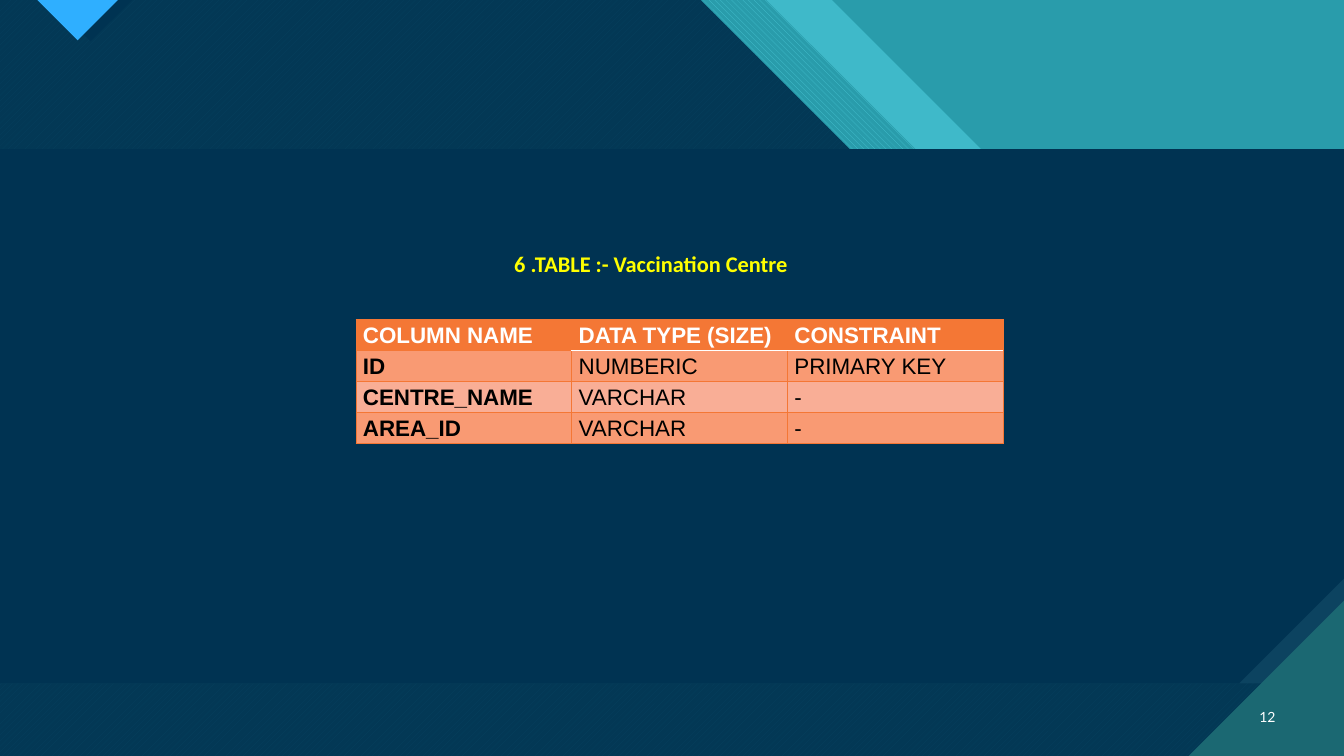
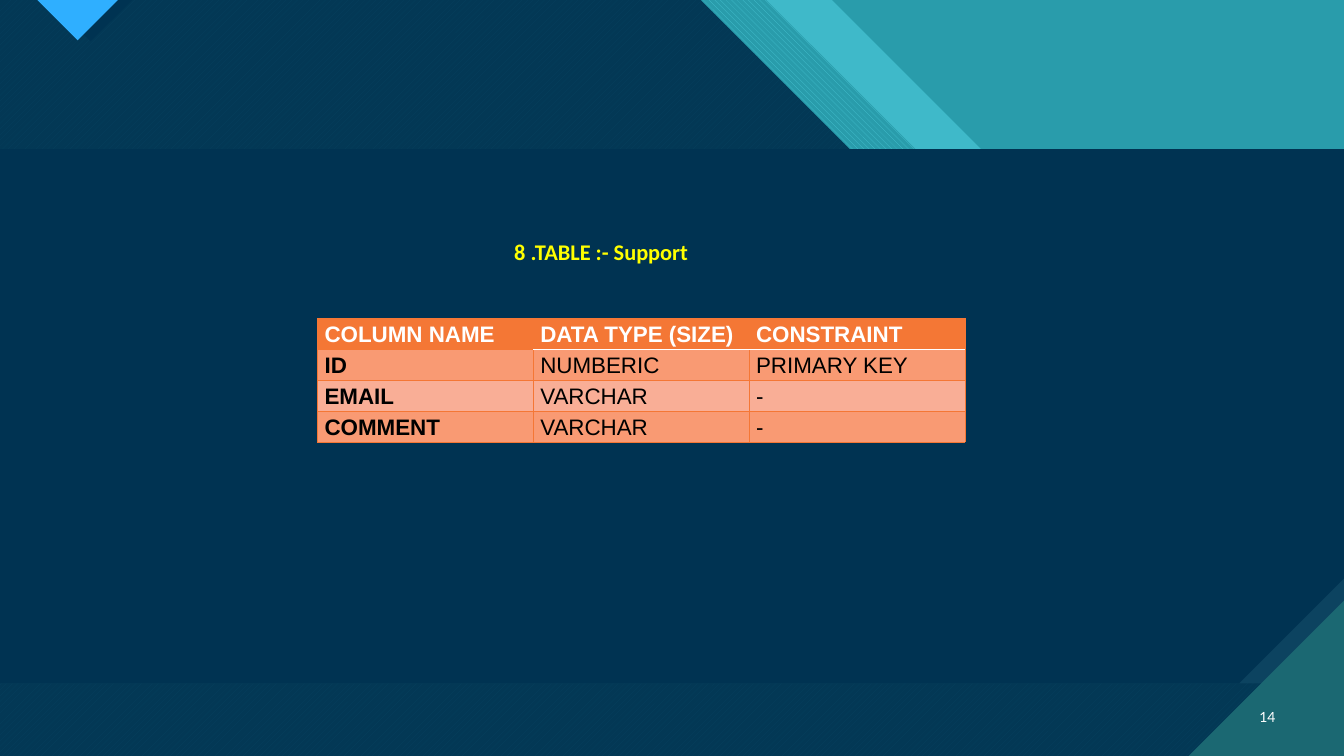
from lxml.etree import SubElement
from pptx import Presentation
from pptx.dml.color import RGBColor
from pptx.enum.dml import MSO_PATTERN
from pptx.enum.shapes import MSO_SHAPE
from pptx.enum.text import MSO_ANCHOR, MSO_AUTO_SIZE, PP_ALIGN
from pptx.oxml.ns import qn
from pptx.util import Inches, Pt

WIDTH, HEIGHT = 13.33, 7.5
PANEL_TOP, PANEL_HEIGHT, PANEL_SNIP = 1.48, 5.3, 1.04
COLUMN_WIDTH, ROW_HEIGHT = 2.14, 0.29

COLORS = {
    "teal": "299CAB",
    "light_teal": "3FB9C9",
    "bright_teal": "47C3D3",
    "deep_teal": "1B6872",
    "navy": "003352",
    "navy_weave": "033855",
    "navy_thread": "07415F",
    "panel_edge": "0C4360",
    "blue": "2FAFFF",
    "orange": "F47735",
    "band_dark": "F99A73",
    "band_light": "F9AE96",
    "yellow": "FFFF00",
    "white": "FFFFFF",
    "black": "000000",
}

HEADER = ("COLUMN NAME", "DATA TYPE (SIZE)", "CONSTRAINT")
SCHEMAS = [
    {
        "title": "6 .TABLE :- Vaccination Centre", "title_top": 2.41,
        "at": (3.53, 3.17), "number": "12",
        "rows": [("ID", "NUMBERIC", "PRIMARY KEY"),
                 ("CENTRE_NAME", "VARCHAR", "-"),
                 ("AREA_ID", "VARCHAR", "-")],
    },
    {
        "title": "8 .TABLE :- Support", "title_top": 2.3,
        "at": (3.15, 3.16), "number": "14",
        "rows": [("ID", "NUMBERIC", "PRIMARY KEY"),
                 ("EMAIL", "VARCHAR", "-"),
                 ("COMMENT", "VARCHAR", "-")],
    },
]


def rgb(name):
    return RGBColor.from_string(COLORS[name])


class Deck:
    """Holds the shared style and the current slide."""

    def __init__(self):
        self.prs = Presentation()
        self.prs.slide_width = Inches(WIDTH)
        self.prs.slide_height = Inches(HEIGHT)
        self.slide = None

    def new_slide(self):
        self.slide = self.prs.slides.add_slide(self.prs.slide_layouts[5])
        background = self.slide.background.fill
        background.solid()
        background.fore_color.rgb = rgb("teal")
        self.backdrop()

    def paint(self, shape, color, pattern=None, back=None):
        shape.shadow.inherit = False
        shape.line.fill.background()
        if pattern is None:
            shape.fill.solid()
        else:
            shape.fill.patterned()
            shape.fill.pattern = pattern
            shape.fill.back_color.rgb = rgb(back)
        shape.fill.fore_color.rgb = rgb(color)

    def polygon(self, points, *paint):
        corners = [(Inches(x), Inches(y)) for x, y in points]
        builder = self.slide.shapes.build_freeform(*corners[0], scale=1.0)
        builder.add_line_segments(corners[1:], close=True)
        self.paint(builder.convert_to_shape(), *paint)

    def slanted_field(self, top_edge, *paint):
        """Area left of a 45 degree line that starts at top_edge."""
        self.polygon([(0, 0), (top_edge, 0), (WIDTH, WIDTH - top_edge),
                      (WIDTH, HEIGHT), (0, HEIGHT)], *paint)

    def backdrop(self):
        # Diagonal bands, each one covering the left part of the last
        self.slanted_field(8.25, "light_teal")
        self.slanted_field(7.6, "bright_teal",
                           MSO_PATTERN.WIDE_DOWNWARD_DIAGONAL, "teal")
        self.slanted_field(6.95, "navy_thread",
                           MSO_PATTERN.WIDE_UPWARD_DIAGONAL, "navy_weave")
        # Blue marker over its shadow
        self.polygon([(0.48, 0), (1.31, 0), (0.9, 0.41)], "navy")
        self.polygon([(0.37, 0), (1.17, 0), (0.77, 0.4)], "blue")
        # Content panel with a snipped corner
        edge = self.slide.shapes.add_shape(
            MSO_SHAPE.RECTANGLE, 0, Inches(PANEL_TOP),
            Inches(WIDTH), Inches(PANEL_HEIGHT))
        self.paint(edge, "panel_edge")
        bottom = PANEL_TOP + PANEL_HEIGHT
        self.polygon([(0, PANEL_TOP), (WIDTH, PANEL_TOP),
                      (WIDTH, bottom - PANEL_SNIP),
                      (WIDTH - PANEL_SNIP, bottom), (0, bottom)], "navy")
        # Page number corner
        self.polygon([(WIDTH - 1.54, HEIGHT), (WIDTH, HEIGHT),
                      (WIDTH, HEIGHT - 1.54)], "deep_teal")

    def style_text(self, frame, font_name, size, color, bold=False,
                   align=PP_ALIGN.LEFT):
        frame.vertical_anchor = MSO_ANCHOR.MIDDLE
        paragraph = frame.paragraphs[0]
        paragraph.alignment = align
        font = paragraph.font
        font.name, font.size, font.bold = font_name, Pt(size), bold
        font.color.rgb = rgb(color)

    def title(self, text, top):
        title = self.slide.shapes.title
        self.slide.shapes.element.append(title.element)  # bring to front
        title.left, title.top = Inches(5), Inches(top)
        title.width, title.height = Inches(4), Inches(0.4)
        title.text_frame.text = text
        title.text_frame.auto_size = MSO_AUTO_SIZE.NONE
        self.style_text(title.text_frame, "Calibri", 16, "yellow", bold=True)

    def page_number(self, number):
        page = self.slide.shapes.add_textbox(
            Inches(12.31), Inches(6.91), Inches(0.44), Inches(0.4))
        page.text_frame.word_wrap = True
        page.text_frame.text = number
        self.style_text(page.text_frame, "Lato", 10, "white",
                        align=PP_ALIGN.RIGHT)

    def border(self, cell, side, color, width):
        line = SubElement(cell._tc.get_or_add_tcPr(), qn(f"a:ln{side}"),
                          w=str(Pt(width)))
        fill = SubElement(line, qn("a:solidFill"))
        SubElement(fill, qn("a:srgbClr"), val=COLORS[color])

    def schema_table(self, left, top, rows):
        table = self.slide.shapes.add_table(
            len(rows), len(HEADER), Inches(left), Inches(top),
            Inches(COLUMN_WIDTH * len(HEADER)),
            Inches(ROW_HEIGHT * len(rows))).table
        for r, row in enumerate(rows):
            for c, text in enumerate(row):
                self.schema_cell(table.cell(r, c), r, c, text)

    def schema_cell(self, cell, r, c, text):
        cell.text = text
        cell.margin_left = cell.margin_right = Inches(0.07)
        cell.margin_top = cell.margin_bottom = 0
        self.style_text(cell.text_frame, "Arial", 16,
                        "black" if r else "white", bold=r == 0 or c == 0)
        cell.vertical_anchor = MSO_ANCHOR.TOP
        cell.text_frame.paragraphs[0].line_spacing = 1.15
        # A white rule parts the header from the last two columns
        for side in "LRTB":
            under_header = c > 0 and (r, side) in ((0, "B"), (1, "T"))
            self.border(cell, side, *(("white", 1) if under_header
                                      else ("orange", 0.5)))
        cell.fill.solid()
        band = "band_dark" if r % 2 else "band_light"
        cell.fill.fore_color.rgb = rgb(band if r else "orange")


def main():
    deck = Deck()
    for schema in SCHEMAS:
        deck.new_slide()
        deck.page_number(schema["number"])
        deck.schema_table(*schema["at"], [HEADER] + schema["rows"])
        deck.title(schema["title"], schema["title_top"])
    deck.prs.save("out.pptx")


if __name__ == "__main__":
    main()
